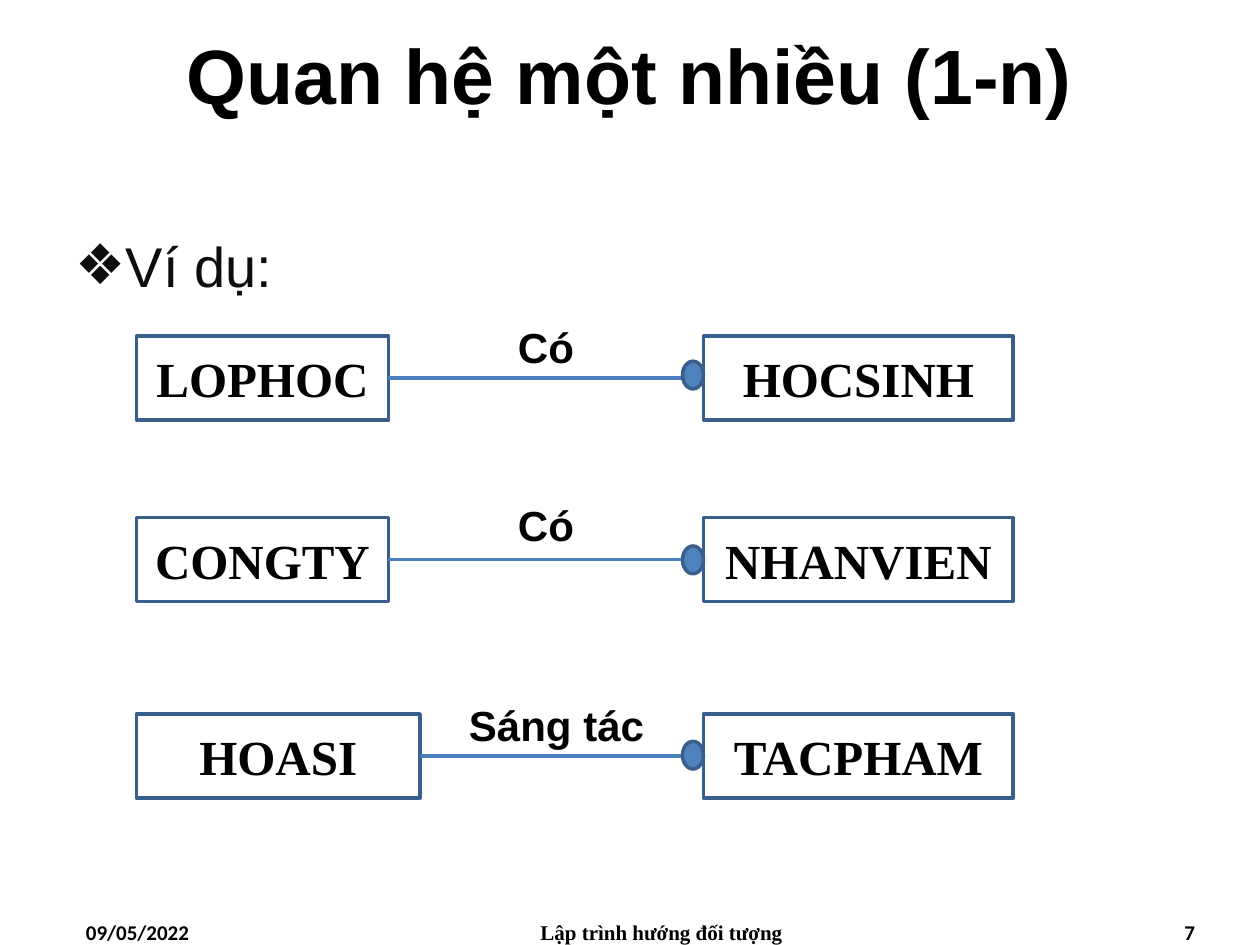
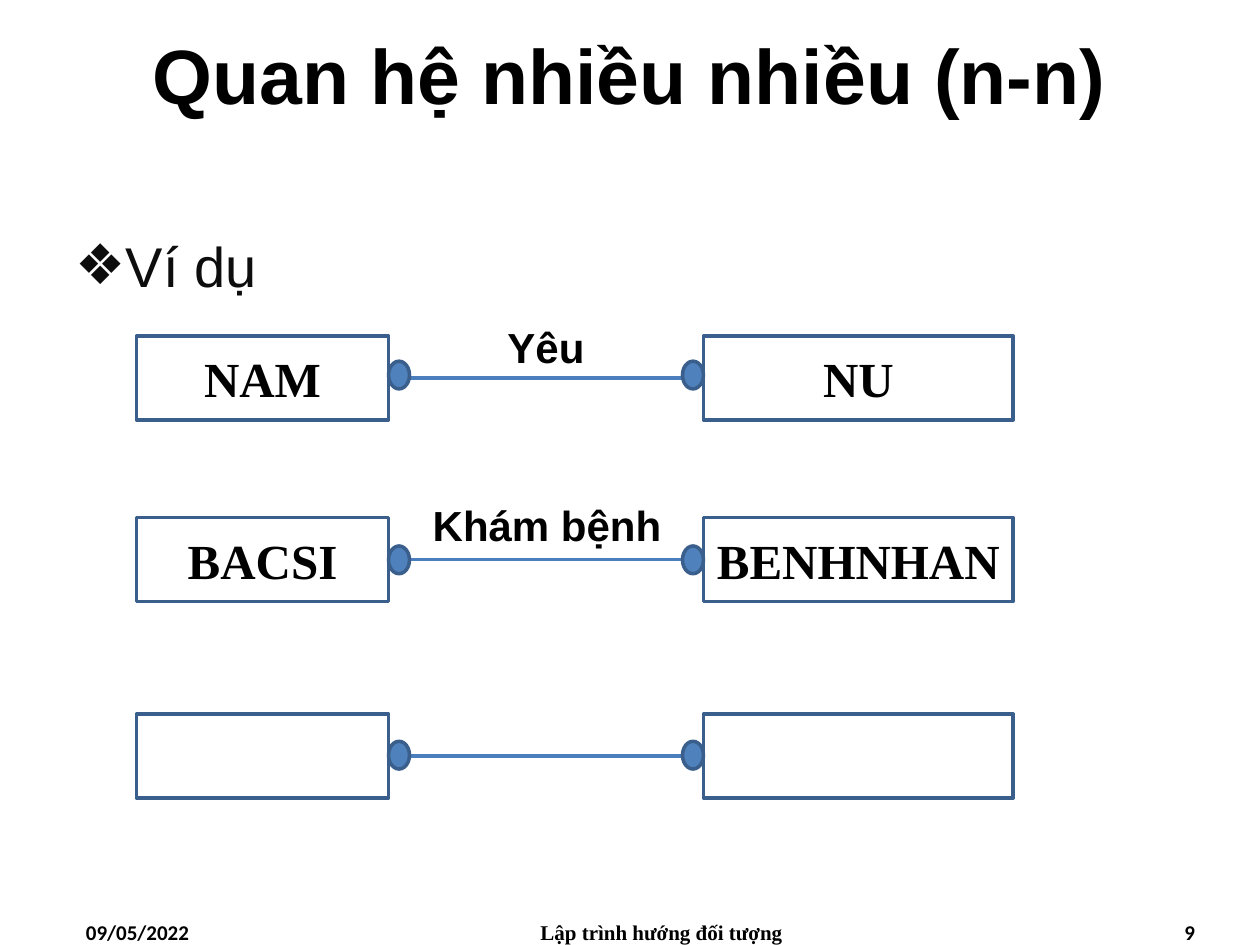
"""Two slides of entity relationship examples: one-to-many and many-to-many."""
from lxml import etree
from pptx import Presentation
from pptx import util as u
from pptx.dml.color import RGBColor
from pptx.enum import shapes, text
from pptx.oxml import ns

COLORS = {"text": "000000", "body": "0D0D0D", "outline": "3A5F8C", "link": "4B7EBC", "dot": "4F81BD"}
ALIGN = text.PP_ALIGN
COLUMNS, ROWS = 120, 90

presentation = Presentation()
presentation.slide_width, presentation.slide_height = u.Inches(10), u.Inches(7.5)
COLUMN = presentation.slide_width / COLUMNS
ROW = presentation.slide_height / ROWS


def cells(left, top, width, height):
    """Turn grid columns and rows into a position and a size."""
    return [u.Emu(round(length * unit)) for length, unit in
            ((left, COLUMN), (top, ROW), (width, COLUMN), (height, ROW))]


def write(shape, words, font, size, bold=True, align=ALIGN.CENTER, color="text"):
    """Set the words of a shape and format its single paragraph."""
    frame = shape.text_frame
    frame.text = words
    frame.word_wrap = True
    paragraph = frame.paragraphs[0]
    paragraph.alignment = align
    run_font = paragraph.runs[0].font
    run_font.name, run_font.size, run_font.bold = font, u.Pt(size), bold
    run_font.color.rgb = RGBColor.from_string(COLORS[color])
    return paragraph


LEFT_BOX, RIGHT_BOX, RIGHT_WIDTH, BOX_HEIGHT = 13, 67, 29.5, 8
DOT_WIDTH, DOT_HEIGHT = 2, 2.64
BOX_ROWS, LABEL_ROWS, DOT_ROWS = (32, 49.3, 68), (30, 47, 66), (34.4, 52, 70.6)
FOOTERS = [(7, 28, "Calibri", ALIGN.LEFT), (44, 38, "Times New Roman", ALIGN.CENTER),
           (87, 28, "Calibri", ALIGN.RIGHT)]

SLIDES = [
    ("Quan hệ một nhiều (1-n)", "Ví dụ:", "7", False, [
        ("LOPHOC", 24, "Có", 40, 24, "HOCSINH"),
        ("CONGTY", 24, "Có", 40, 24, "NHANVIEN"),
        ("HOASI", 27, "Sáng tác", 42, 22, "TACPHAM")]),
    ("Quan hệ nhiều nhiều (n-n)", "Ví dụ", "9", True, [
        ("NAM", 24, "Yêu", 40, 24, "NU"),
        ("BACSI", 24, "Khám bệnh", 39.6, 25, "BENHNHAN"),
        ("", 24, "", 40, 24, "")]),
]

for heading, example, number, many_left, relations in SLIDES:
    slide = presentation.slides.add_slide(presentation.slide_layouts[1])
    title, body = slide.shapes.title, slide.placeholders[1]
    title.left, title.top, title.width, title.height = cells(0, 0, COLUMNS, 14)
    body.left, body.top, body.width, body.height = cells(6, 19, 110, 64.7)

    write(title, heading, "Arial", 44)
    title.text_frame.vertical_anchor = text.MSO_ANCHOR.MIDDLE
    paragraph = write(body, example, "Arial", 32, False, ALIGN.JUSTIFY, "body")
    body.text_frame.margin_top = u.Inches(0.09)
    paragraph.line_spacing = 1.3
    paragraph.space_before, paragraph.space_after = u.Pt(0), u.Pt(3)
    properties = paragraph._p.get_or_add_pPr()
    properties.set("marL", str(u.Inches(0.38)))
    properties.set("indent", str(-u.Inches(0.38)))
    etree.SubElement(properties, ns.qn("a:buChar"), char="❖")
    for placeholder in (title, body):
        placeholder.text_frame.auto_size = text.MSO_AUTO_SIZE.NONE

    footer_words = ("09/05/2022", "Lập trình hướng đối tượng", number)
    for (left, width, font, align), words in zip(FOOTERS, footer_words):
        write(slide.shapes.add_textbox(*cells(left, 87, width, 3)), words, font, 12, align=align)

    for relation, box_row, label_row, dot_row in zip(relations, BOX_ROWS, LABEL_ROWS, DOT_ROWS):
        left_name, left_width, label, label_left, label_width, right_name = relation
        group = slide.shapes.add_group_shape()
        entities = []
        for name, left, width in ((left_name, LEFT_BOX, left_width), (right_name, RIGHT_BOX, RIGHT_WIDTH)):
            entity = group.shapes.add_shape(shapes.MSO_SHAPE.RECTANGLE, *cells(left, box_row, width, BOX_HEIGHT))
            entity.fill.background()
            entity.text_frame.margin_left = entity.text_frame.margin_right = u.Inches(0.05)
            entity.text_frame.vertical_anchor = text.MSO_ANCHOR.MIDDLE
            if name:
                write(entity, name, "Times New Roman", 28)
            entities.append(entity)

        link = group.shapes.add_connector(shapes.MSO_CONNECTOR.STRAIGHT, 0, 0, 0, 0)
        link.begin_connect(entities[0], 3)
        link.end_connect(entities[1], 1)
        link.line.color.rgb = RGBColor.from_string(COLORS["link"])
        link.line.width = u.Pt(2)
        etree.SubElement(link._element.spPr, ns.qn("a:effectLst"))

        if label:
            caption = group.shapes.add_textbox(*cells(label_left, label_row, label_width, 6))
            write(caption, label, "Arial", 24)
            caption.text_frame.auto_size = text.MSO_AUTO_SIZE.SHAPE_TO_FIT_TEXT

        dots = []
        for left in [RIGHT_BOX - DOT_WIDTH] + [LEFT_BOX + left_width] * many_left:
            dot = group.shapes.add_shape(shapes.MSO_SHAPE.OVAL, *cells(left, dot_row, DOT_WIDTH, DOT_HEIGHT))
            dot.fill.solid()
            dot.fill.fore_color.rgb = RGBColor.from_string(COLORS["dot"])
            dots.append(dot)

        for shape in entities + dots:
            shape.shadow.inherit = False
            shape.line.color.rgb = RGBColor.from_string(COLORS["outline"])
            shape.line.width = u.Pt(2)

presentation.save("out.pptx")
